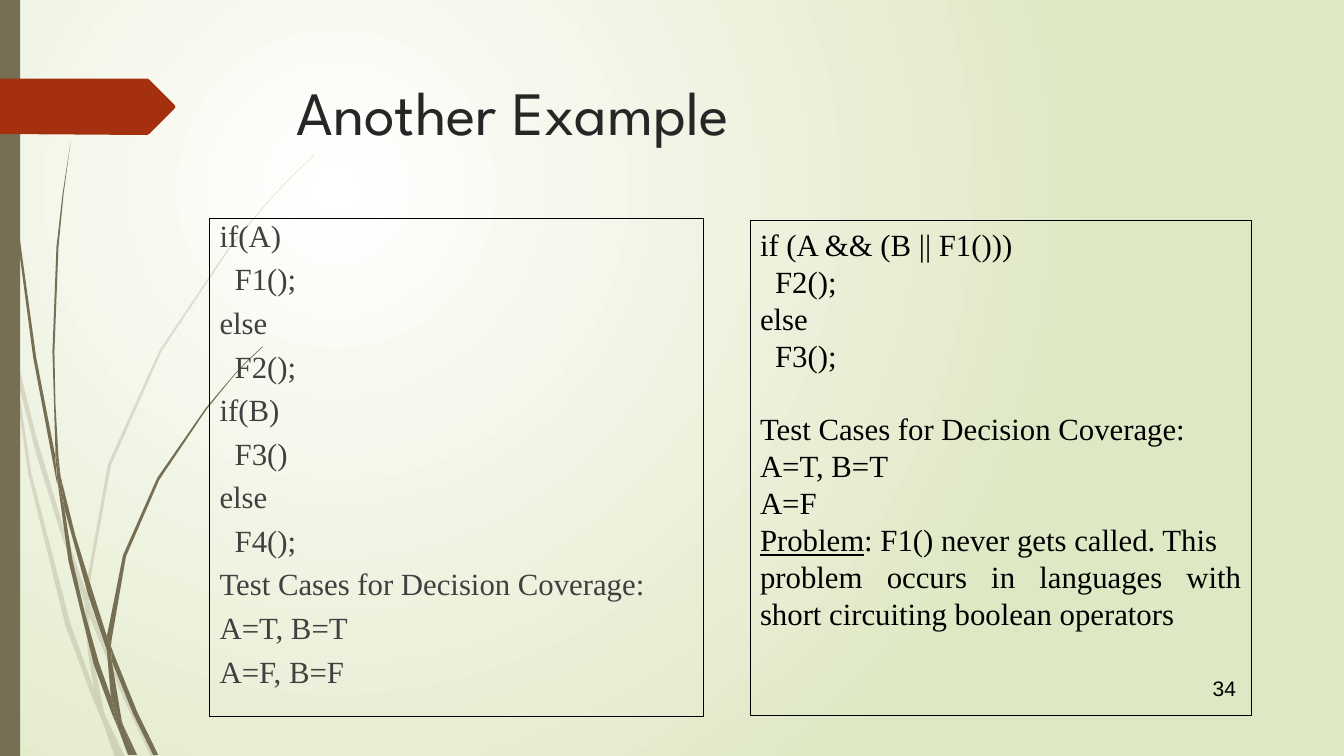
from lxml import etree
from pptx import Presentation
from pptx import util as u
from pptx.dml.color import RGBColor
from pptx.enum import shapes, text
from pptx.oxml import parse_xml
from pptx.oxml.ns import nsdecls, qn

PX = 9144  # EMU per px, 100 px to the inch
COLORS = {"white": "FFFFFF", "pale": "DFE8C4", "olive": "766F54", "rust": "A53010",
          "title": "262626", "code": "404040", "black": "000000"}
SERIF = "Times New Roman"
INDENT = 15

# Outlines of the grass blades, one list of x, y corners per piece
PALE_BLADES = [
    [(11, 350), (9, 322), (0, 282), (0, 299), (10, 344)],
    [(58, 522), (84, 599), (85, 586), (62, 520), (36, 433), (14, 345), (17, 376), (36, 451)],
    [(92, 607), (88, 596), (88, 610), (123, 694), (150, 751), (155, 751), (127, 692)],
    [(119, 751), (124, 751), (105, 711)],
    [(93, 683), (70, 619), (31, 469), (17, 376), (11, 350), (28, 470), (65, 621), (92, 693),
     (101, 714), (99, 707)],
    [(84, 599), (87, 646), (93, 683), (96, 692), (105, 711), (103, 706), (91, 646), (88, 610),
     (88, 608)],
    [(88, 584), (110, 462), (160, 349), (229, 245), (268, 198), (290, 175), (312, 154),
     (312, 153), (289, 175), (268, 197), (228, 244), (158, 348), (107, 461), (85, 584),
     (85, 586), (88, 596)],
    [(101, 714), (114, 751), (119, 751)],
    [(88, 608), (88, 610), (88, 596), (85, 586), (84, 599)],
    [(96, 692), (93, 683), (99, 707), (101, 714), (119, 751), (105, 711)],
]
DARK_BLADES = [
    [(7, 110), (17, 233), (33, 355), (56, 477), (57, 481), (55, 457), (55, 453), (36, 355),
     (19, 232), (8, 109), (5, 48), (4, 0), (3, 0), (4, 48)],
    [(88, 592), (106, 645), (106, 633), (106, 631), (93, 590), (75, 532), (60, 472), (64, 505)],
    [(113, 649), (110, 641), (111, 656), (132, 708), (152, 749), (157, 749), (136, 706)],
    [(110, 691), (98, 657), (84, 607), (72, 556), (64, 505), (57, 477), (68, 557), (93, 659),
     (111, 708), (117, 722), (116, 717)],
    [(60, 472), (58, 453), (55, 401), (54, 349), (58, 245), (63, 193), (70, 141), (62, 193),
     (56, 245), (52, 349), (55, 449)],
    [(133, 749), (136, 749), (122, 719)],
    [(57, 477), (64, 505), (60, 472), (55, 449), (55, 453)],
    [(111, 633), (125, 552), (158, 476), (205, 406), (231, 374), (245, 359), (261, 344),
     (260, 344), (245, 358), (231, 373), (204, 405), (156, 474), (122, 551), (106, 631),
     (110, 641)],
    [(117, 722), (127, 749), (131, 749)],
    [(106, 645), (110, 691), (116, 706), (122, 719), (121, 716), (111, 656), (109, 651)],
    [(106, 645), (109, 651), (111, 656), (110, 641), (106, 631), (106, 633)],
    [(116, 706), (110, 691), (116, 717), (117, 722), (130, 749), (133, 749), (122, 719)],
]
ARROW = [(173, 108), (148, 133), (146, 134), (0, 133), (0, 78), (146, 78), (148, 79),
         (173, 104), (174, 106)]

LEFT_CODE = ["if(A)", "\tF1();", "else", "\tF2();", "if(B)", "\tF3()", "else", "\tF4();",
             "Test Cases for Decision Coverage:", "A=T, B=T", "A=F, B=F"]
RIGHT_CODE = ["if (A && (B || F1()))", "\tF2();", "else", "\tF3();",
              "Test Cases for Decision Coverage:", "A=T, B=T", "A=F",
              "Problem: F1() never gets called. This",
              "problem occurs in languages with short circuiting boolean operators"]


def rgb(name):
    return RGBColor.from_string(COLORS[name])


def emu(box):
    return [v * PX for v in box]


def paint(sp, color, opacity=100):
    sp.shadow.inherit = False
    sp.fill.solid()
    sp.fill.fore_color.rgb = rgb(color)
    sp.line.fill.background()
    if opacity < 100:
        clr = sp.element.spPr.find(".//" + qn("a:srgbClr"))
        etree.SubElement(clr, qn("a:alpha"), val=str(opacity * 1000))


def style(r, size, font, color):
    r.font.size, r.font.name = u.Pt(size), font
    r.font.color.rgb = rgb(color)


def add_outline(parent, points, color, opacity=100):
    fb = parent.build_freeform(*points[0], scale=PX)
    fb.add_line_segments(points[1:], close=True)
    paint(fb.convert_to_shape(), color, opacity)


def add_background(s):
    """Radial gradient centred in the upper left quarter."""
    stops = "".join(f'<a:gs pos="{pos}"><a:srgbClr val="{COLORS[c]}"/></a:gs>'
                    for pos, c in ((0, "white"), (100000, "pale")))
    s.background.fill.solid()
    solid = s.background._cSld.find(".//" + qn("a:solidFill"))
    solid.getparent().replace(solid, parse_xml(
        f'<a:gradFill {nsdecls("a")} rotWithShape="1"><a:gsLst>{stops}</a:gsLst>'
        '<a:path path="circle"><a:fillToRect l="50000" t="50000" r="100000" b="100000"/>'
        '</a:path></a:gradFill>'))


def add_decoration(s):
    for blades, opacity in ((PALE_BLADES, 20), (DARK_BLADES, 100)):
        group = s.shapes.add_group_shape()
        for points in blades:
            add_outline(group.shapes, points, "olive", opacity)
    bar = s.shapes.add_shape(shapes.MSO_SHAPE.RECTANGLE, *emu((0, 0, 20, 750)))
    paint(bar, "olive")
    add_outline(s.shapes, ARROW, "rust")


def add_title(s, box, title):
    sp = s.shapes.title
    sp.left, sp.top, sp.width, sp.height = emu(box)
    tf = sp.text_frame
    tf.text = title
    tf.auto_size = text.MSO_AUTO_SIZE.NONE
    tf.vertical_anchor = text.MSO_ANCHOR.TOP
    p = tf.paragraphs[0]
    p.alignment = text.PP_ALIGN.LEFT
    style(p.runs[0], 44, "League Spartan", "title")
    sp.element.getparent().append(sp.element)  # in front of the decoration


def add_code_panel(s, box, lines, color):
    """Outlined panel; a line that starts with a tab is indented."""
    sp = s.shapes.add_shape(shapes.MSO_SHAPE.RECTANGLE, *emu(box))
    sp.shadow.inherit = False
    sp.fill.background()
    sp.line.color.rgb, sp.line.width = rgb("black"), u.Pt(0.75)
    tf = sp.text_frame
    tf.word_wrap = True
    tf.vertical_anchor = text.MSO_ANCHOR.TOP
    for i, line in enumerate(lines):
        p = tf.add_paragraph() if i else tf.paragraphs[0]
        p.text = line.strip()
        p.alignment = text.PP_ALIGN.JUSTIFY
        if line.startswith("\t"):
            p._p.get_or_add_pPr().set("marL", str(INDENT * PX))
        style(p.runs[0], 22, SERIF, color)
    return tf.paragraphs


def add_left_panel(s, box):
    for p in add_code_panel(s, box, LEFT_CODE, "code"):
        p.line_spacing, p.space_before = 0.8, u.Pt(10)


def add_right_panel(s, box):
    for p in add_code_panel(s, box, RIGHT_CODE, "black"):
        if p.text.startswith("Test"):
            p.space_before = u.Pt(26)
        elif p.text.startswith("Problem"):
            label, rest = p.text.split(":")
            p.runs[0].text = label
            p.runs[0].font.underline = True
            r = p.add_run()
            r.text = ":" + rest
            style(r, 22, SERIF, "black")


def add_page_number(s, box, number):
    tf = s.shapes.add_textbox(*emu(box)).text_frame
    tf.word_wrap = True
    tf.vertical_anchor = text.MSO_ANCHOR.MIDDLE
    tf.text = number
    style(tf.paragraphs[0].runs[0], 15, "Arial", "black")


def main():
    prs = Presentation()
    prs.slide_width, prs.slide_height = emu((1333, 750))
    s = prs.slides.add_slide(prs.slide_layouts[5])
    add_background(s)
    add_decoration(s)
    add_title(s, (284, 68, 975, 140), "Another Example")
    add_left_panel(s, (208, 217, 490, 494))
    add_right_panel(s, (744, 219, 497, 491))
    add_page_number(s, (1193, 663, 67, 40), "34")
    prs.save("out.pptx")


if __name__ == "__main__":
    main()
